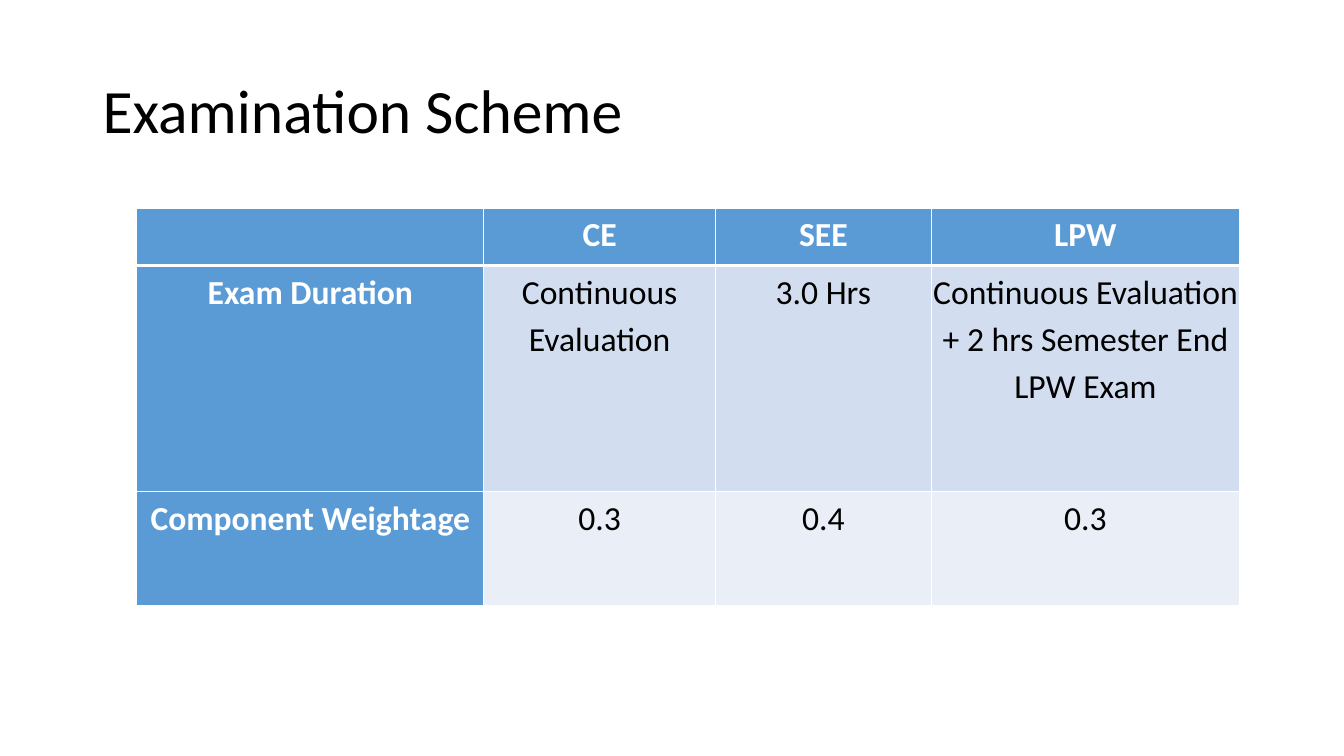
"""Build the Examination Scheme slide with its table of exam components."""
from lxml.etree import SubElement
from pptx import Presentation
from pptx.dml.color import RGBColor
from pptx.enum.text import MSO_ANCHOR as Anchor, PP_ALIGN as Align
from pptx.oxml.ns import qn
from pptx.util import Cm, Pt

COLORS = {"header": "5B9BD5", "band_dark": "D2DEEF", "band_light": "EAEFF7",
          "white": "FFFFFF", "black": "000000"}
COLUMN_WIDTHS = [8.74, 5.84, 5.44, 7.77]
ROW_HEIGHTS = [1.45, 5.69, 2.87]
SCHEME = [
    ["", "CE", "SEE", "LPW"],
    ["Exam Duration", "Continuous Evaluation", "3.0 Hrs",
     "Continuous Evaluation + 2 hrs Semester End LPW Exam"],
    ["Component Weightage", "0.3", "0.4", "0.3"],
]


def write(frame, text, size=24, color="black", bold=False, align=Align.CENTER,
          line_spacing=1.15, space_after=10):
    paragraph = frame.paragraphs[0]
    paragraph.alignment = align
    paragraph.line_spacing = line_spacing
    paragraph.space_after = Pt(space_after)
    paragraph.font.size = Pt(size)
    if text:
        run = paragraph.add_run()
        run.text = text
        run.font.name = "Calibri"
        run.font.size = Pt(size)
        run.font.bold = bold
        run.font.color.rgb = RGBColor.from_string(COLORS[color])


def add_border(cell, side, points):
    line = SubElement(cell._tc.get_or_add_tcPr(), qn(f"a:{side}"), w=str(Pt(points)))
    fill = SubElement(line, qn("a:solidFill"))
    SubElement(fill, qn("a:srgbClr"), val=COLORS["white"])


prs = Presentation()
prs.slide_width, prs.slide_height = Cm(33.87), Cm(19.05)
slide = prs.slides.add_slide(prs.slide_layouts[5])

title = slide.shapes.title
title.left, title.top, title.width, title.height = Cm(2.33), Cm(1.01), Cm(29.21), Cm(3.68)
title.text_frame.vertical_anchor = Anchor.MIDDLE
write(title.text_frame, "Examination Scheme", size=44, align=Align.LEFT,
      line_spacing=0.9, space_after=0)

scheme_table = slide.shapes.add_table(
    len(ROW_HEIGHTS), len(COLUMN_WIDTHS), Cm(3.45), Cm(5.24),
    Cm(sum(COLUMN_WIDTHS)), Cm(sum(ROW_HEIGHTS))).table
scheme_table.first_col = True
for column, width in zip(scheme_table.columns, COLUMN_WIDTHS):
    column.width = Cm(width)
for row, height in zip(scheme_table.rows, ROW_HEIGHTS):
    row.height = Cm(height)

for r, entries in enumerate(SCHEME):
    for c, entry in enumerate(entries):
        cell = scheme_table.cell(r, c)
        heading = r == 0 or c == 0
        cell.margin_left = cell.margin_right = Cm(0.02)
        cell.margin_top = cell.margin_bottom = Cm(0.02)
        write(cell.text_frame, entry, bold=heading, color="white" if heading else "black")
        for side, points in [("lnL", 1), ("lnR", 1), ("lnT", 3 if r == 1 else 1),
                             ("lnB", 3 if r == 0 else 1)]:
            add_border(cell, side, points)
        band = "header" if heading else ("band_dark" if r == 1 else "band_light")
        cell.fill.solid()
        cell.fill.fore_color.rgb = RGBColor.from_string(COLORS[band])

prs.save("out.pptx")
